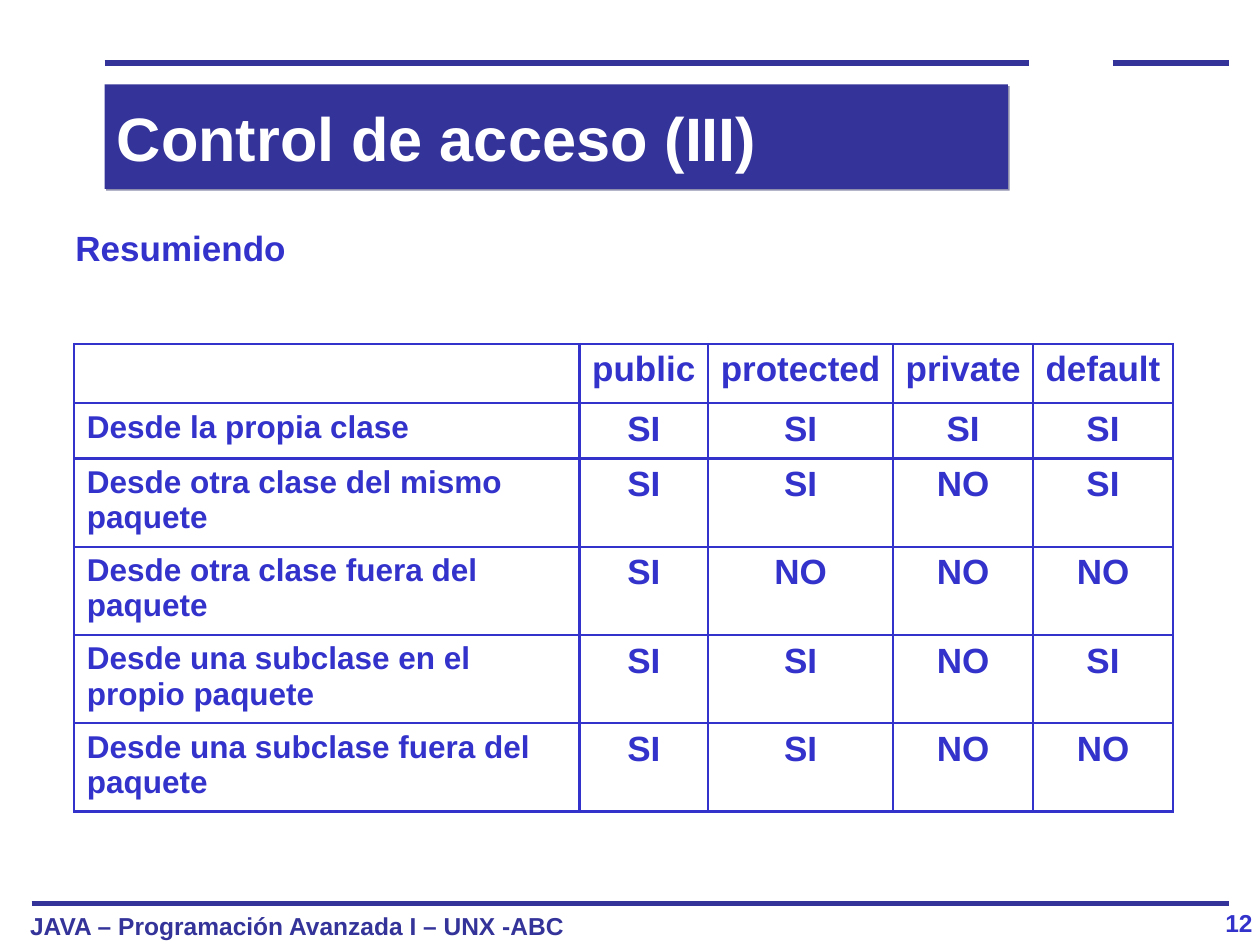
from dataclasses import dataclass
from typing import Any, NamedTuple

from lxml import etree
from pptx import Presentation
from pptx.dml.color import RGBColor
from pptx.enum.shapes import MSO_CONNECTOR, MSO_SHAPE
from pptx.enum.text import MSO_ANCHOR, PP_ALIGN
from pptx.oxml.ns import qn
from pptx.util import Inches, Pt

LEFT, CENTER, RIGHT = PP_ALIGN.LEFT, PP_ALIGN.CENTER, PP_ALIGN.RIGHT
MIDDLE = MSO_ANCHOR.MIDDLE
RECT = MSO_SHAPE.RECTANGLE
STRAIGHT = MSO_CONNECTOR.STRAIGHT


@dataclass(frozen=True)
class Theme:
    """Colours, font and sizes of the slide."""
    navy: str = "333399"
    blue: str = "3333CC"
    white: str = "FFFFFF"
    shadow: str = "1E1E5B"
    font: str = "Arial"
    title: float = 35
    body: float = 20
    row_label: float = 18
    footer: float = 14
    rule: float = 3
    border: float = 1.47


class Rule(NamedTuple):
    """A horizontal line."""
    x1: float
    x2: float
    y: float


class Access(NamedTuple):
    """One table row: where access comes from and the answers."""
    origin: str
    answers: tuple[str, ...]
    height: float


T = Theme()
RULES = (Rule(0.83, 8.17, 0.5), Rule(8.83, 9.75, 0.5), Rule(0.25, 9.75, 7.17))
COLUMNS = (4.01, 1.02, 1.47, 1.11, 1.11)
ROWS = (
    Access("", ("public", "protected", "private", "default"), 0.47),
    Access("Desde la propia clase", ("SI", "SI", "SI", "SI"), 0.44),
    Access("Desde otra clase del mismo paquete", ("SI", "SI", "NO", "SI"), 0.7),
    Access("Desde otra clase fuera del paquete", ("SI", "NO", "NO", "NO"), 0.7),
    Access("Desde una subclase en el propio paquete", ("SI", "SI", "NO", "SI"), 0.7),
    Access("Desde una subclase fuera del paquete", ("SI", "SI", "NO", "NO"), 0.7),
)


def write(tf: Any, text: str, *, size: float, color: str = T.blue,
          align: PP_ALIGN = LEFT, before: float = 0) -> None:
    """Put one bold paragraph into a text frame."""
    p = tf.paragraphs[0]
    p.alignment = align
    p.space_before = Pt(before)
    r = p.add_run()
    r.text = text
    r.font.name = T.font
    r.font.size = Pt(size)
    r.font.bold = True
    r.font.color.rgb = RGBColor.from_string(color)


def add_rule(s: Any, rule: Rule) -> None:
    """Draw a horizontal line without shadow."""
    sp = s.shapes.add_connector(STRAIGHT, Inches(rule.x1), Inches(rule.y),
                                Inches(rule.x2), Inches(rule.y))
    sp.line.color.rgb = RGBColor.from_string(T.navy)
    sp.line.width = Pt(T.rule)
    etree.SubElement(sp._element.spPr, qn("a:effectLst"))


def add_text(s: Any, box: tuple[float, ...], text: str, *,
             wrap: bool = True, **fmt: Any) -> None:
    """Add a text box."""
    tf = s.shapes.add_textbox(*map(Inches, box)).text_frame
    tf.word_wrap = wrap
    write(tf, text, **fmt)


def add_title(s: Any, text: str) -> None:
    """Add the title bar with its small offset shadow."""
    sp = s.shapes.add_shape(RECT, *map(Inches, (0.83, 0.67, 7.17, 0.83)))
    sp.fill.solid()
    sp.fill.fore_color.rgb = RGBColor.from_string(T.navy)
    sp.line.fill.background()
    sp.shadow.inherit = False
    effects = sp._element.spPr.find(qn("a:effectLst"))
    shadow = etree.SubElement(effects, qn("a:outerShdw"), dist=str(Pt(1.4)),
                              dir="2700000", algn="ctr", rotWithShape="0")
    color = etree.SubElement(shadow, qn("a:srgbClr"), val=T.shadow)
    etree.SubElement(color, qn("a:alpha"), val="50000")
    sp.text_frame.vertical_anchor = MIDDLE
    write(sp.text_frame, text, size=T.title, color=T.white)


def style_cell(cell: Any, side_margin: float) -> None:
    """Clear the fill of a cell, border all its sides and set its margins."""
    cell.fill.background()
    props = cell._tc.get_or_add_tcPr()
    for i, side in enumerate(("lnL", "lnR", "lnT", "lnB")):
        ln = etree.Element(qn(f"a:{side}"), w=str(Pt(T.border)))
        fill = etree.SubElement(ln, qn("a:solidFill"))
        etree.SubElement(fill, qn("a:srgbClr"), val=T.blue)
        props.insert(i, ln)
    cell.margin_left = cell.margin_right = Inches(side_margin)
    cell.margin_top = cell.margin_bottom = Inches(0.05)


def add_access_table(s: Any) -> None:
    """Add the table of access modifiers."""
    height = sum(row.height for row in ROWS)
    table = s.shapes.add_table(
        len(ROWS), len(COLUMNS), Inches(0.59), Inches(2.73),
        Inches(sum(COLUMNS)), Inches(height)).table
    table.first_row = table.horz_banding = False
    for column, width in zip(table.columns, COLUMNS):
        column.width = Inches(width)
    for i, row in enumerate(ROWS):
        table.rows[i].height = Inches(row.height)
        for j, text in enumerate((row.origin, *row.answers)):
            cell = table.cell(i, j)
            style_cell(cell, 0.08 if j else 0.1)
            if not text:
                continue
            if j == 0:
                write(cell.text_frame, text, size=T.row_label, before=4.5)
            else:
                write(cell.text_frame, text, size=T.body, align=CENTER, before=5)


def main() -> None:
    """Build and save the slide."""
    prs = Presentation()
    prs.slide_width, prs.slide_height = Inches(10), Inches(7.5)
    s = prs.slides.add_slide(prs.slide_layouts[6])
    for rule in RULES:
        add_rule(s, rule)
    add_text(s, (0.14, 7.18, 4.46, 0.34), "JAVA – Programación Avanzada I – UNX -ABC",
             wrap=False, size=T.footer, color=T.navy)
    add_text(s, (8.9, 7.16, 1.14, 0.34), "12", size=T.footer, align=RIGHT)
    add_title(s, "Control de acceso (III)")
    add_text(s, (0.5, 1.75, 8.91, 5.08), "Resumiendo", size=T.body, before=5)
    add_access_table(s)
    prs.save("out.pptx")


main()
